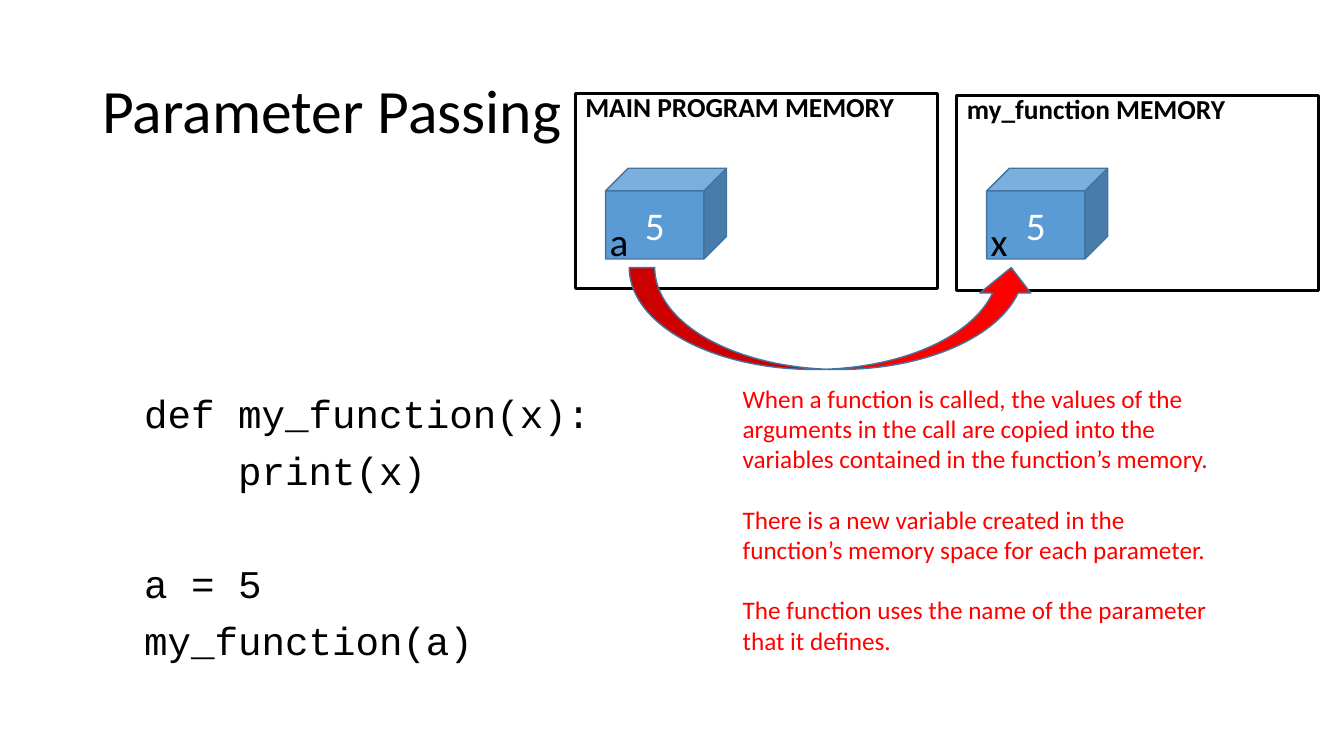
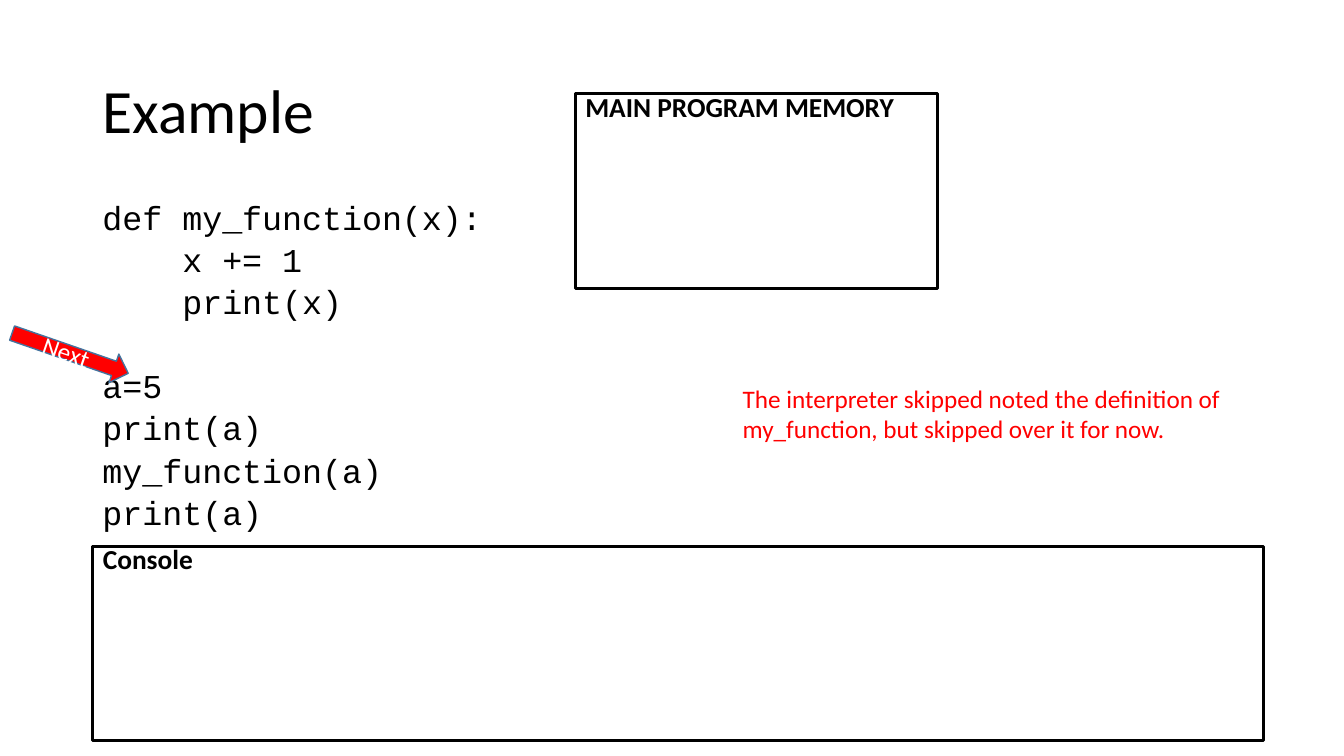
from dataclasses import dataclass

from lxml.etree import SubElement
from pptx import Presentation
from pptx.dml.color import RGBColor
from pptx.enum.shapes import MSO_SHAPE
from pptx.enum.text import MSO_ANCHOR, MSO_AUTO_SIZE, PP_ALIGN
from pptx.oxml.ns import qn
from pptx.util import Pt


@dataclass(frozen=True)
class Theme:
    # Colours
    black: str = "000000"
    white: str = "FFFFFF"
    red: str = "FF0000"
    blue: str = "5B9BD5"
    edge: str = "43739E"
    # Fonts and type sizes
    sans: str = "Calibri"
    mono: str = "Courier New"
    title: float = 44
    value: float = 28
    head: float = 19.6
    note: float = 18


class Deck:
    def __init__(self, theme):
        self.theme = theme
        self.file = Presentation()
        self.file.slide_width, self.file.slide_height = Pt(960), Pt(540)
        self.slide = None

    # Shared helpers
    def place(self, shape, x, y, w, h):
        shape.left, shape.top, shape.width, shape.height = map(Pt, (x, y, w, h))

    def style(self, para, size, color, font=None, bold=False):
        for run in para.runs:
            run.font.size = Pt(size)
            run.font.name = font or self.theme.sans
            run.font.bold = bold
            run.font.color.rgb = RGBColor.from_string(color)

    def shape(self, kind, x, y, w, h, fill=None, line=None, width=1):
        item = self.slide.shapes.add_shape(kind, Pt(x), Pt(y), Pt(w), Pt(h))
        item.shadow.inherit = False
        if fill:
            item.fill.solid()
            item.fill.fore_color.rgb = RGBColor.from_string(fill)
        else:
            item.fill.background()
        item.line.color.rgb = RGBColor.from_string(line or self.theme.edge)
        item.line.width = Pt(width)
        return item

    def label(self, item, text, size, color):
        frame = item.text_frame
        frame.text = text
        frame.vertical_anchor = MSO_ANCHOR.MIDDLE
        frame.paragraphs[0].alignment = PP_ALIGN.CENTER
        self.style(frame.paragraphs[0], size, color)

    def text(self, x, y, w, h, lines, size, color, gap=0):
        box = self.slide.shapes.add_textbox(Pt(x), Pt(y), Pt(w), Pt(h))
        frame = box.text_frame
        frame.word_wrap = True
        frame.text = "\n".join(lines)
        for i, para in enumerate(frame.paragraphs):
            para.space_before = Pt(gap if i else 0)
            self.style(para, size, color)

    # Slide parts
    def start(self, title):
        self.slide = self.file.slides.add_slide(self.file.slide_layouts[1])
        head = self.slide.shapes.title
        self.place(head, 66, 28.8, 828, 104.4)
        frame = head.text_frame
        frame.text = title
        frame.auto_size = MSO_AUTO_SIZE.NONE
        frame.vertical_anchor = MSO_ANCHOR.MIDDLE
        para = frame.paragraphs[0]
        para.alignment = PP_ALIGN.LEFT
        para.line_spacing = 0.9
        self.style(para, self.theme.title, self.theme.black)

    def code(self, x, y, blocks, size, pitch, gap=10):
        body = self.slide.placeholders[1]
        self.place(body, x, y, 845.3, 240.5)
        frame = body.text_frame
        frame.auto_size = MSO_AUTO_SIZE.NONE
        frame.text = "\n".join(line for block in blocks for line in block)
        firsts = {len(blocks[0])}
        for i, para in enumerate(frame.paragraphs):
            props = para._p.get_or_add_pPr()
            props.set("marL", "0")
            props.set("indent", "0")
            SubElement(props, qn("a:buNone"))
            para.line_spacing = Pt(pitch)
            space = gap + (pitch + gap if i in firsts else 0)
            para.space_before = Pt(space if i else 0)
            self.style(para, size, self.theme.black, self.theme.mono)

    def panel(self, x, y, w, title):
        box = self.shape(MSO_SHAPE.RECTANGLE, x, y, w, 139,
                         line=self.theme.black, width=2)
        frame = box.text_frame
        frame.text = title
        frame.vertical_anchor = MSO_ANCHOR.TOP
        para = frame.paragraphs[0]
        para.alignment = PP_ALIGN.LEFT
        para.line_spacing = 0.7
        self.style(para, self.theme.head, self.theme.black, bold=True)

    def main(self):
        self.panel(411, 67, 258.5, "MAIN PROGRAM MEMORY")

    def cube(self, x, name, value):
        look = self.theme
        item = self.shape(MSO_SHAPE.CUBE, x, 120.2, 86.4, 64.8, look.blue)
        self.label(item, value, look.value, look.white)
        self.text(x - 4.3, 152, 40, 41, [name], look.value, look.black)

    def note(self, h, *lines):
        self.text(523.4, 270, 357, h, lines, self.theme.note, self.theme.red, 21.6)

    def arrow(self, kind, x, y, w, h, turn):
        item = self.shape(kind, x, y, w, h, self.theme.red)
        item.rotation = turn
        return item


def build():
    look = Theme()
    deck = Deck(look)

    # Parameter passing: a value copied between memories
    deck.start("Parameter Passing")
    deck.code(95.8, 278, [["def my_function(x):", "    print(x)"],
                          ["a = 5", "my_function(a)"]], 28, 30.4)
    deck.note(204, "When a function is called, the values of the arguments in the call "
              "are copied into the variables contained in the function’s memory.",
              "There is a new variable created in the function’s memory space "
              "for each parameter.",
              "The function uses the name of the parameter that it defines.")
    deck.main()
    deck.cube(432.6, "a", "5")
    deck.panel(683.5, 68.4, 258.5, "my_function MEMORY")
    deck.cube(704.8, "x", "5")
    deck.arrow(MSO_SHAPE.CURVED_RIGHT_ARROW, 558.6, 82, 72.8, 291, 270)

    # Example: the next line to run
    deck.start("Example")
    deck.code(66, 145.5, [["def my_function(x):", "    x += 1", "    print(x)"],
                          ["a=5", "print(a)", "my_function(a)", "print(a)"]],
              23.8, 20.1)
    deck.panel(66.4, 390.2, 836, "Console")
    deck.note(51, "The interpreter skipped noted the definition of my_function, "
              "but skipped over it for now.")
    step = deck.arrow(MSO_SHAPE.RIGHT_ARROW, 6.2, 241.5, 87.8, 21.6, 19.1)
    deck.label(step, "Next", look.note, look.white)
    deck.main()

    deck.file.save("out.pptx")


if __name__ == "__main__":
    build()
